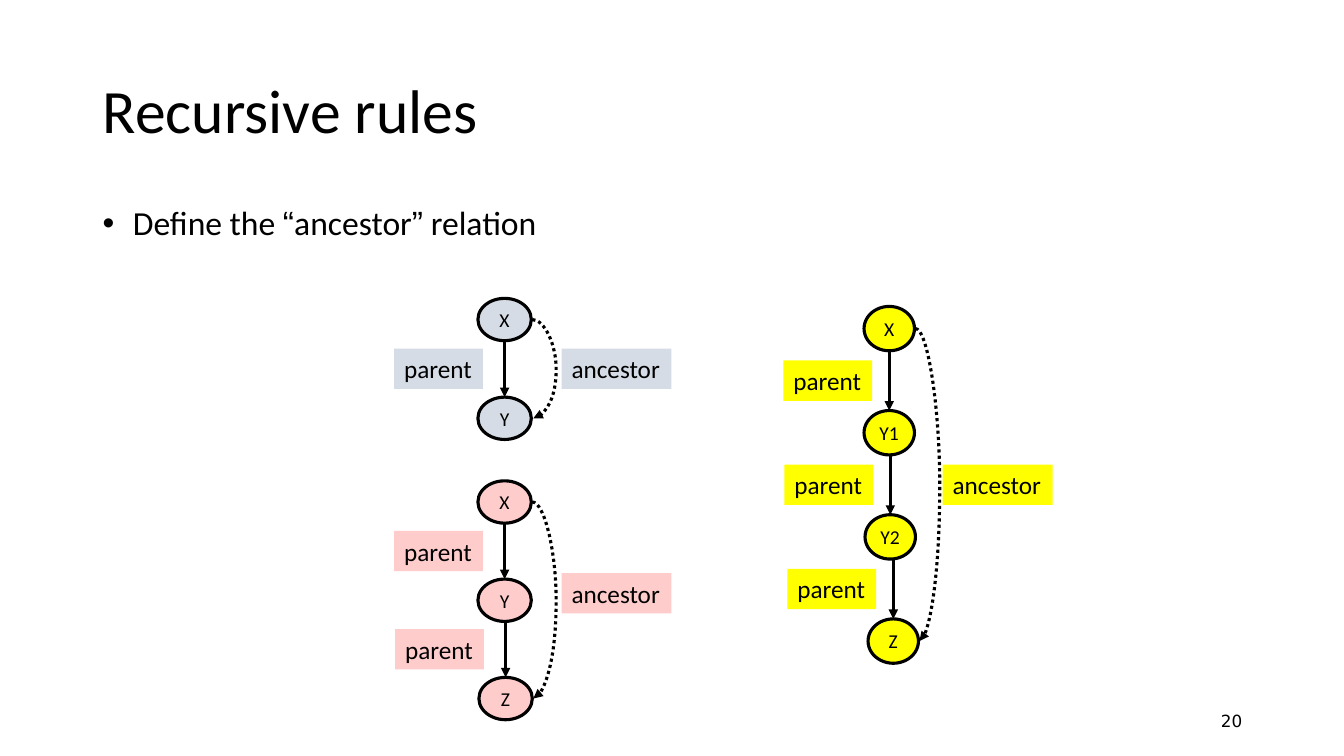
from lxml.etree import SubElement
from pptx import Presentation
from pptx.dml.color import RGBColor
from pptx.enum.dml import MSO_LINE
from pptx.enum.shapes import MSO_CONNECTOR as Link, MSO_SHAPE as Preset
from pptx.enum.text import MSO_ANCHOR as Anchor, MSO_AUTO_SIZE as Fit, PP_ALIGN as Align
from pptx.oxml.ns import qn
from pptx.util import Inches, Pt

BLACK = "000000"
LABEL_HEIGHT = 0.4
PARENT_WIDTH = 0.88
ANCESTOR_WIDTH = 1.09
BULGE = 0.24


def color(value):
    """Turn a hex string into a colour."""
    return RGBColor.from_string(value)


def inches(*lengths):
    """Turn numbers into lengths."""
    return [Inches(length) for length in lengths]


def write(frame, text, size=18, font="Calibri", align=Align.LEFT,
          anchor=Anchor.TOP, wrap=False, fit=Fit.NONE, spacing=None):
    """Write text, or (text, font) pieces, as one paragraph and return it."""
    frame.word_wrap, frame.auto_size, frame.vertical_anchor = wrap, fit, anchor
    paragraph = frame.paragraphs[0]
    paragraph.alignment, paragraph.line_spacing = align, spacing
    pieces = [(text, font)] if isinstance(text, str) else text
    for words, face in pieces:
        run = paragraph.add_run()
        run.text = words
        run.font.name, run.font.size = face, Pt(size)
        run.font.color.rgb = color(BLACK)
    return paragraph


def add_heading(slide, box):
    """Place the slide title."""
    title = slide.shapes.title
    title.left, title.top, title.width, title.height = inches(*box)
    write(title.text_frame, "Recursive rules", size=44, anchor=Anchor.MIDDLE,
          wrap=True, spacing=0.9)


def add_statement(slide, box):
    """Place the bulleted statement."""
    statement = slide.shapes.add_textbox(*inches(*box))
    pieces = [("Define the ", "Calibri"), ("“", "Arial"), ("ancestor", "Calibri"),
              ("”", "Arial"), (" relation", "Calibri")]
    paragraph = write(statement.text_frame, pieces, size=24, wrap=True, spacing=0.9)
    paragraph.space_before = Pt(10)
    properties = paragraph._p.get_or_add_pPr()
    properties.set("marL", str(Inches(0.3)))
    properties.set("indent", str(Inches(-0.3)))
    SubElement(properties, qn("a:buFont"), typeface="Arial")
    SubElement(properties, qn("a:buChar"), char="•")


def add_page_number(slide, box):
    """Place the page number."""
    number = slide.shapes.add_textbox(*inches(*box))
    write(number.text_frame, "20", size=12, font="DejaVu Sans", align=Align.RIGHT,
          anchor=Anchor.MIDDLE, wrap=True)


def add_label(group, left, middle, width, text, fill):
    """Place a relation label centred on a height."""
    label = group.shapes.add_shape(
        Preset.RECTANGLE, *inches(left, middle - LABEL_HEIGHT / 2, width, LABEL_HEIGHT))
    label.shadow.inherit = False
    label.fill.solid()
    label.fill.fore_color.rgb = color(fill)
    label.line.fill.background()
    write(label.text_frame, text, fit=Fit.SHAPE_TO_FIT_TEXT)


def add_node(group, box, name, fill):
    """Place the ellipse of one person."""
    node = group.shapes.add_shape(Preset.OVAL, *inches(*box))
    node.shadow.inherit = False
    node.fill.solid()
    node.fill.fore_color.rgb = color(fill)
    node.line.color.rgb, node.line.width = color(BLACK), Pt(2.25)
    write(node.text_frame, name, size=14, align=Align.CENTER, anchor=Anchor.MIDDLE)


def add_arrow(group, start, end, kind=Link.STRAIGHT):
    """Draw an arrow and return it."""
    arrow = group.shapes.add_connector(kind, *inches(*start, *end))
    arrow.line.color.rgb, arrow.line.width = color(BLACK), Pt(2.25)
    SubElement(arrow.line._get_or_add_ln(), qn("a:tailEnd"), type="triangle")
    SubElement(arrow._element.spPr, qn("a:effectLst"))
    return arrow


def add_ancestor_arrow(group, start, end):
    """Draw the dotted arrow that bulges to the right."""
    arrow = add_arrow(group, start, end, Link.CURVE)
    arrow.line.dash_style = MSO_LINE.ROUND_DOT
    guides = arrow._element.spPr.find(qn("a:prstGeom")).get_or_add_avLst()
    ratio = round(BULGE / (end[0] - start[0]) * 100000)
    SubElement(guides, qn("a:gd"), name="adj1", fmla=f"val {ratio}")


def add_family(slide, box, names, fill, node_size, drifts=(0, 0, 0, 0), rise=0):
    """Place a chain of parents with its ancestor arrow in a box."""
    left, top, width, height = box
    node_width, node_height = node_size
    group = slide.shapes.add_group_shape()
    pitch = (height - node_height) / (len(names) - 1)
    first_left = left + node_width + 0.3
    for step, (name, drift) in enumerate(zip(names, drifts)):
        node_left, node_top = first_left + drift, top + step * pitch
        add_node(group, (node_left, node_top, *node_size), name, fill)
        if step:
            center, above = node_left + node_width / 2, node_top - pitch + node_height
            add_arrow(group, (center, above), (center, node_top))
            add_label(group, left + drift, (above + node_top) / 2, PARENT_WIDTH,
                      "parent", fill)
    start = first_left + node_width + 0.01
    add_ancestor_arrow(group, (start, top + node_height / 2),
                       (start + max(drift, 0.01), top + height - node_height / 2))
    add_label(group, left + width - ANCESTOR_WIDTH, top + height / 2 - rise,
              ANCESTOR_WIDTH, "ancestor", fill)


def main():
    """Build the slide and save it."""
    deck = Presentation()
    deck.slide_width, deck.slide_height = inches(13.33, 7.5)
    slide = deck.slides.add_slide(deck.slide_layouts[5])
    add_heading(slide, (0.92, 0.4, 11.5, 1.45))
    add_statement(slide, (0.92, 2, 11.5, 4.76))
    add_page_number(slide, (9.42, 6.95, 3, 0.4))
    add_family(slide, (3.91, 2.96, 2.75, 1.4), ["X", "Y"], "D6DCE5", (0.53, 0.42))
    add_family(slide, (3.91, 4.77, 2.75, 2.37), ["X", "Y", "Z"], "FFCCCC",
               (0.53, 0.42), drifts=(0, 0, 0.01), rise=0.07)
    add_family(slide, (7.77, 3.04, 2.67, 3.54), ["X", "Y1", "Y2", "Z"], "FFFF00",
               (0.5, 0.44), drifts=(0, 0, 0.01, 0.04))
    deck.save("out.pptx")


if __name__ == "__main__":
    main()
